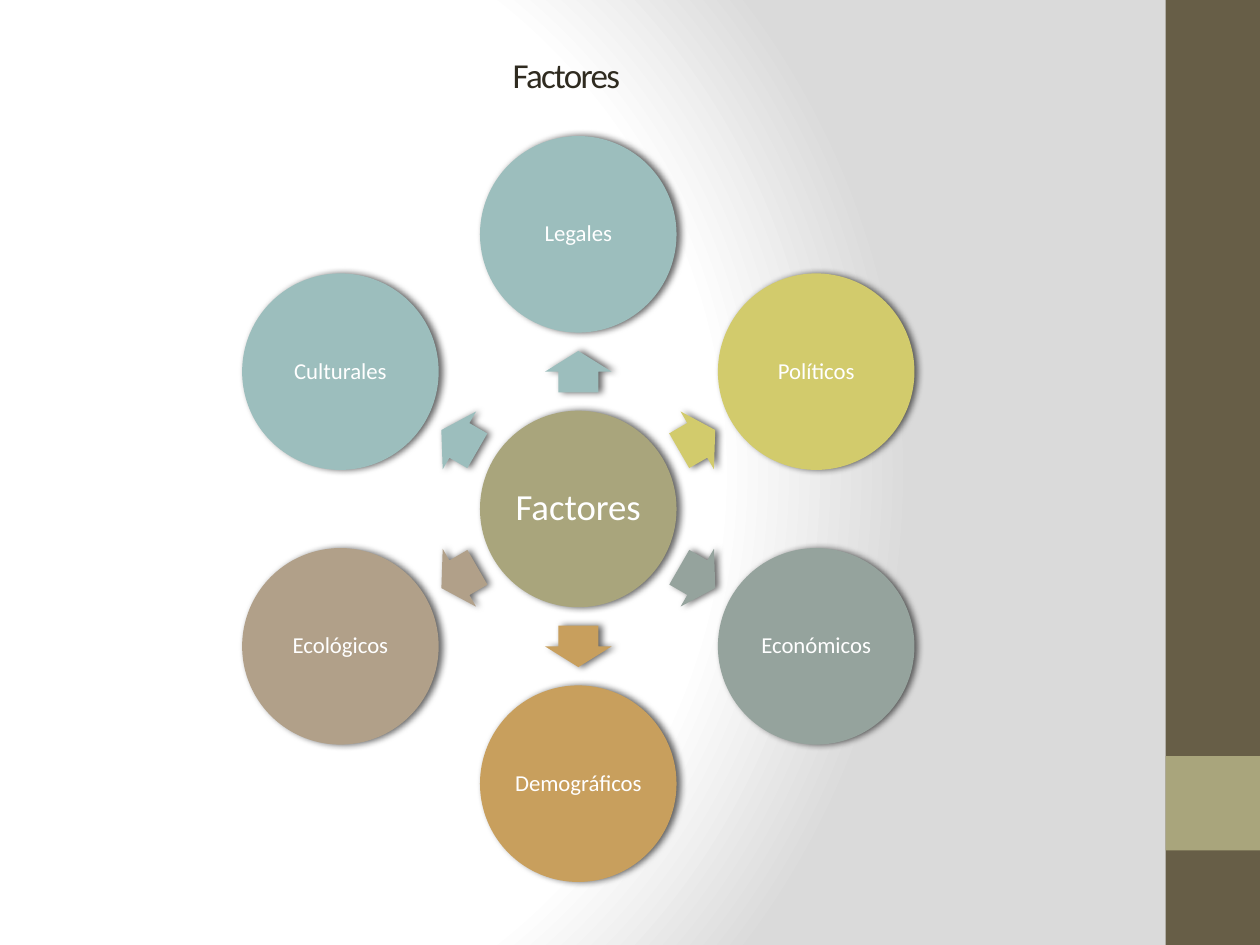
"""Build the slide of factors arranged around a central circle."""
from math import cos, radians, sin

from pptx import Presentation
from pptx.dml.color import RGBColor
from pptx.enum.shapes import MSO_SHAPE as Shape
from pptx.enum.text import MSO_ANCHOR as Anchor, PP_ALIGN as Align
from pptx.oxml import parse_xml
from pptx.oxml.ns import nsdecls
from pptx.util import Inches, Pt

WHITE = RGBColor(0xFF, 0xFF, 0xFF)
INK = RGBColor(0x2F, 0x2B, 0x20)
BROWN = RGBColor(0x67, 0x5E, 0x47)
OLIVE = RGBColor(0xA9, 0xA5, 0x7C)
TEAL = RGBColor(0x9C, 0xBE, 0xBD)
YELLOW = RGBColor(0xD2, 0xCB, 0x6C)
SLATE = RGBColor(0x95, 0xA3, 0x9D)
AMBER = RGBColor(0xC8, 0x9F, 0x5D)
TAUPE = RGBColor(0xB1, 0xA0, 0x89)

FONT = "Calibri"
TITLE = "Factores"
HUB = "Factores"
FACTORS = [
    ("Legales", TEAL),
    ("Políticos", YELLOW),
    ("Económicos", SLATE),
    ("Demográficos", AMBER),
    ("Ecológicos", TAUPE),
    ("Culturales", TEAL),
]
SIDEBAR = [(0, 7.5, BROWN), (6, 0.75, OLIVE)]

CENTER_X, CENTER_Y = 4.59, 4.04
CIRCLE = 1.56
ARROW_WIDTH, ARROW_HEIGHT = 0.33, 0.53
CIRCLE_ORBIT, ARROW_ORBIT = 2.18, 1.09

BACKGROUND = f"""<a:gradFill {nsdecls('a')} rotWithShape="1"><a:gsLst>
<a:gs pos="0"><a:srgbClr val="FFFFFF"/></a:gs>
<a:gs pos="75000"><a:srgbClr val="FFFFFF"/></a:gs>
<a:gs pos="100000"><a:srgbClr val="DADADA"/></a:gs></a:gsLst>
<a:path path="circle"><a:fillToRect l="20000" t="50000" r="100000" b="50000"/></a:path>
</a:gradFill>"""
SHADOW = f"""<a:effectLst {nsdecls('a')}>
<a:outerShdw blurRad="50800" dist="25400" dir="0" algn="ctr" rotWithShape="0">
<a:srgbClr val="000000"><a:alpha val="60000"/></a:srgbClr></a:outerShdw></a:effectLst>"""


def paint_background(page):
    page.background.fill.gradient()
    gradient = page.element.xpath(".//p:bgPr/a:gradFill")[0]
    gradient.getparent().replace(gradient, parse_xml(BACKGROUND))


def add_filled(page, kind, left, top, width, height, color):
    shape = page.shapes.add_shape(
        kind, Inches(left), Inches(top), Inches(width), Inches(height))
    shape.shadow.inherit = False
    shape.fill.solid()
    shape.fill.fore_color.rgb = color
    shape.line.fill.background()
    return shape


def add_raised(page, kind, angle, orbit, width, height, color):
    left = CENTER_X + orbit * cos(radians(angle)) - width / 2
    top = CENTER_Y + orbit * sin(radians(angle)) - height / 2
    shape = add_filled(page, kind, left, top, width, height, color)
    effects = shape.element.spPr.find("{*}effectLst")
    effects.getparent().replace(effects, parse_xml(SHADOW))
    return shape


def set_text(shape, text, size, color, margin, align):
    frame = shape.text_frame
    frame.word_wrap = True
    frame.vertical_anchor = Anchor.MIDDLE
    frame.margin_left = frame.margin_right = Inches(margin)
    frame.margin_top = frame.margin_bottom = Inches(min(margin, 0.05))
    para = frame.paragraphs[0]
    para.text = text
    para.alignment = align
    para.font.name = FONT
    para.font.size = Pt(size)
    para.font.color.rgb = color
    return para


def add_circle(page, text, angle, orbit, color, size, margin):
    circle = add_raised(page, Shape.OVAL, angle, orbit, CIRCLE, CIRCLE, color)
    para = set_text(circle, text, size, WHITE, margin, Align.CENTER)
    para.line_spacing = 0.9


def add_arrow(page, angle, color):
    arrow = add_raised(page, Shape.RIGHT_ARROW, angle, ARROW_ORBIT,
                       ARROW_WIDTH, ARROW_HEIGHT, color)
    arrow.rotation = angle % 360
    arrow.adjustments[0] = 0.6
    arrow.adjustments[1] = 0.5


def add_title(page):
    box = page.shapes.add_textbox(
        Inches(3.97), Inches(0.37), Inches(1.28), Inches(0.44))
    para = set_text(box, TITLE, 20, INK, 0.1, Align.LEFT)
    para.runs[0].font._element.set("spc", "-100")


def main():
    deck = Presentation()
    deck.slide_width, deck.slide_height = Inches(10), Inches(7.5)
    page = deck.slides.add_slide(deck.slide_layouts[6])
    paint_background(page)
    for top, height, color in SIDEBAR:
        add_filled(page, Shape.RECTANGLE, 9.25, top, 0.75, height, color)
    add_title(page)
    add_circle(page, HUB, 0, 0, OLIVE, 21, 0.03)
    for index, (name, color) in enumerate(FACTORS):
        angle = index * 360 / len(FACTORS) - 90
        add_arrow(page, angle, color)
        add_circle(page, name, angle, CIRCLE_ORBIT, color, 13, 0.02)
    deck.save("out.pptx")


if __name__ == "__main__":
    main()
